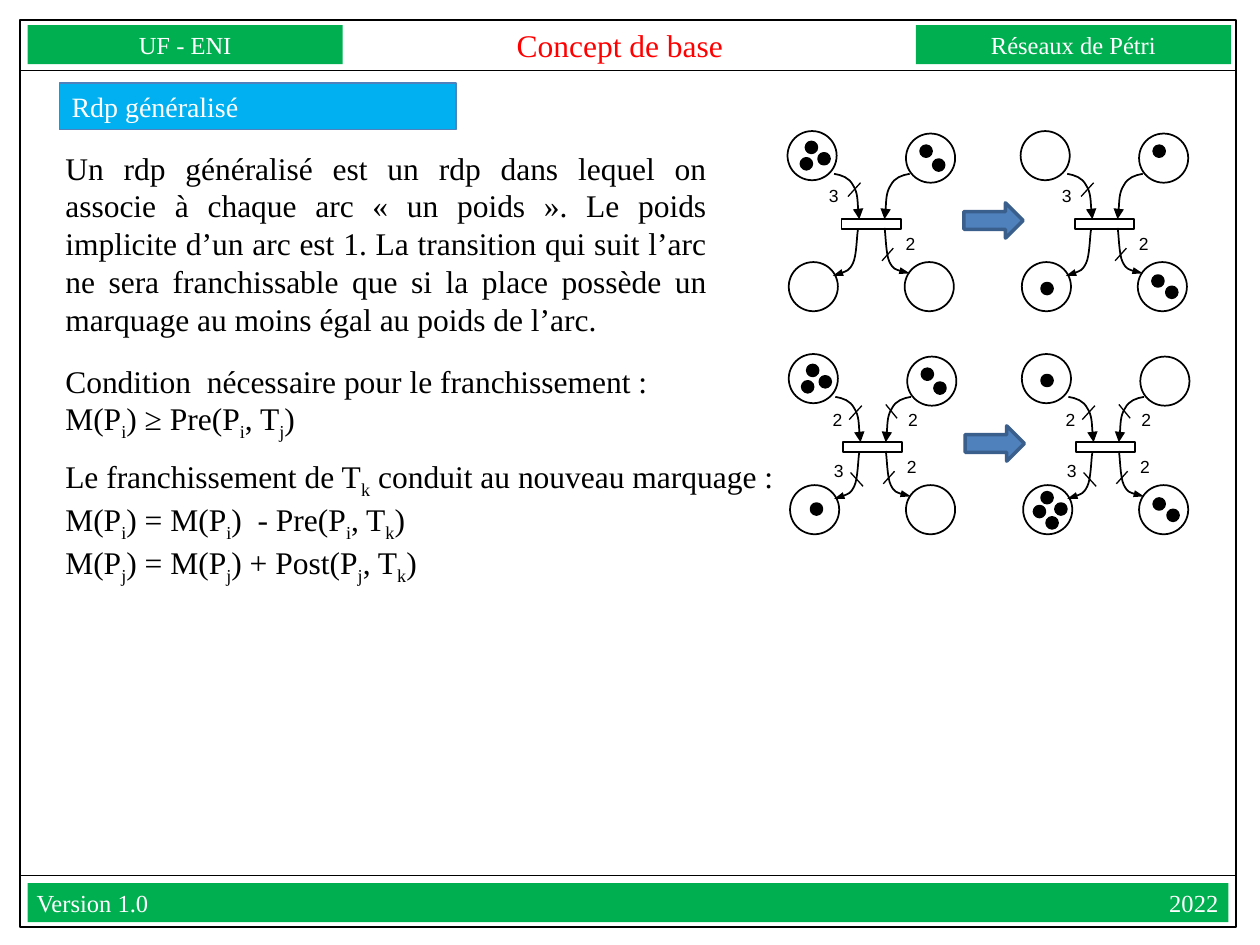
from lxml.etree import SubElement
from pptx import Presentation
from pptx.dml.color import RGBColor
from pptx.enum.shapes import MSO_CONNECTOR, MSO_SHAPE as SHAPE
from pptx.enum.text import MSO_ANCHOR as ANCHOR, MSO_AUTO_SIZE, PP_ALIGN as ALIGN
from pptx.oxml.ns import qn
from pptx.util import Inches, Pt

COLORS = {"black": "000000", "white": "FFFFFF", "red": "FF0000", "green": "00B050",
          "sky": "00B0F0", "blue": "4F81BD", "navy": "3A5F8C"}
SERIF, SANS = "Times New Roman", "Arial"

prs = Presentation()
prs.slide_width, prs.slide_height = Inches(10), Inches(7.5)
slide = prs.slides.add_slide(prs.slide_layouts[5])


def write(shape, *lines, size=18, font=SERIF, color="black", align=ALIGN.LEFT,
          anchor=ANCHOR.TOP, inset=(0.1, 0.05), right_tab=None):
    """Fill a shape with paragraphs; the letter after each "_" is a subscript."""
    frame = shape.text_frame
    frame.word_wrap = True
    frame.auto_size = MSO_AUTO_SIZE.NONE
    frame.vertical_anchor = anchor
    frame.margin_left = frame.margin_right = Inches(inset[0])
    frame.margin_top = frame.margin_bottom = Inches(inset[1])
    for number, line in enumerate(lines):
        paragraph = frame.add_paragraph() if number else frame.paragraphs[0]
        paragraph.alignment = align
        if right_tab:
            tabs = SubElement(paragraph._p.get_or_add_pPr(), qn("a:tabLst"))
            SubElement(tabs, qn("a:tab"), pos=str(Inches(right_tab)), algn="r")
        first, *rest = line.split("_")
        pieces = [(first, False)]
        for part in rest:
            pieces += [(part[0], True), (part[1:], False)]
        for text, is_subscript in pieces:
            run = paragraph.add_run()
            run.text = text
            run.font.size, run.font.name = Pt(size), font
            run.font.color.rgb = RGBColor.from_string(COLORS[color])
            if is_subscript:
                run._r.get_or_add_rPr().set("baseline", "-25000")


def draw(kind, x, y, width, height, fill=None, line=None, weight=1):
    """Add a preset shape with plain fill and outline."""
    shape = slide.shapes.add_shape(kind, Inches(x), Inches(y), Inches(width), Inches(height))
    shape.shadow.inherit = False
    if fill:
        shape.fill.solid()
        shape.fill.fore_color.rgb = RGBColor.from_string(COLORS[fill])
    else:
        shape.fill.background()
    if line:
        shape.line.color.rgb = RGBColor.from_string(COLORS[line])
        shape.line.width = Pt(weight)
    else:
        shape.line.fill.background()
    return shape


# Page frame, header and footer
draw(SHAPE.RECTANGLE, 0.16, 0.16, 9.65, 7.2, line="black")
strokes = [(0.16, y, 9.8, y) for y in (0.56, 6.95)]
for x, label in ((0.22, "UF - ENI"), (7.27, "Réseaux de Pétri")):
    write(draw(SHAPE.RECTANGLE, x, 0.2, 2.5, 0.31, fill="green"), label, size=14,
          color="white", align=ALIGN.CENTER, anchor=ANCHOR.MIDDLE, inset=(0, 0))
write(draw(SHAPE.RECTANGLE, 0.22, 7.01, 9.53, 0.31, fill="green"), "Version 1.0\t2022",
      size=14, color="white", anchor=ANCHOR.MIDDLE, inset=(0.07, 0), right_tab=9.38)

title = slide.shapes.title
title.left, title.top = Inches(3.67), Inches(0.2)
title.width, title.height = Inches(2.5), Inches(0.31)
write(title, "Concept de base", color="red", align=ALIGN.CENTER, anchor=ANCHOR.MIDDLE,
      inset=(0, 0))

# Section heading
write(draw(SHAPE.RECTANGLE, 0.47, 0.66, 3.15, 0.37, fill="sky", line="blue", weight=0.75),
      "Rdp généralisé", size=16, color="white")

# Definition and firing rules
explanations = [
    (1.13, 5.29, 1.62, ALIGN.JUSTIFY, [
        "Un rdp généralisé est un rdp dans lequel on associe à chaque arc « un poids ». "
        "Le poids implicite d’un arc est 1. La transition qui suit l’arc ne sera "
        "franchissable que si la place possède un marquage au moins égal au poids de l’arc."]),
    (2.82, 5.24, 0.71, ALIGN.LEFT, [
        "Condition  nécessaire pour le franchissement :",
        "M(P_i) ≥ Pre(P_i, T_j)"]),
    (3.58, 5.94, 1.01, ALIGN.LEFT, [
        "Le franchissement de T_k conduit au nouveau marquage :",
        "M(P_i) = M(P_i)  - Pre(P_i, T_k)",
        "M(P_j) = M(P_j) + Post(P_j, T_k)"]),
]
for y, width, height, align, lines in explanations:
    box = slide.shapes.add_textbox(Inches(0.42), Inches(y), Inches(width), Inches(height))
    write(box, *lines, align=align)

# Petri net geometry, relative to the corner of each net
PLACES = [(0, 0), (0.94, 0.02), (0.01, 1.04), (0.93, 1.04)]
ARCS = [  # arrowhead width, then start and two Bézier segments
    ("med", [(0.37, 0.34), (0.43, 0.35), (0.49, 0.37), (0.52, 0.43),
             (0.56, 0.49), (0.56, 0.66), (0.57, 0.7)]),
    ("med", [(0.97, 0.34), (0.91, 0.35), (0.85, 0.37), (0.82, 0.43),
             (0.78, 0.49), (0.78, 0.66), (0.77, 0.7)]),
    ("sm", [(0.56, 0.78), (0.55, 0.83), (0.55, 0.99), (0.52, 1.05),
            (0.49, 1.11), (0.43, 1.13), (0.36, 1.15)]),
    ("sm", [(0.77, 0.77), (0.78, 0.81), (0.78, 0.98), (0.81, 1.04),
            (0.84, 1.1), (0.91, 1.12), (0.97, 1.13)]),
]
IN_LEFT, IN_RIGHT = (0.58, 0.41, 0.48, 0.52), (0.77, 0.4, 0.86, 0.51)
OUT_LEFT, OUT_RIGHT = (0.49, 0.94, 0.59, 1.05), (0.75, 1.03, 0.84, 0.93)
# Each weight: tick across the arc, value, label position
TOP_WEIGHTS = [(IN_LEFT, "3", 0.23, 0.38), (OUT_RIGHT, "2", 0.84, 0.76)]
BOTTOM_WEIGHTS = [(IN_LEFT, "2", 0.25, 0.39), (IN_RIGHT, "2", 0.85, 0.39),
                  (OUT_LEFT, "3", 0.26, 0.79), (OUT_RIGHT, "2", 0.84, 0.76)]
THREE_IN_P1 = [(0.15, 0.09), (0.11, 0.22), (0.25, 0.18)]
TWO_IN_P2 = [(1.06, 0.12), (1.16, 0.23)]
TWO_IN_P4 = [(1.05, 1.15), (1.16, 1.24)]
FOUR_IN_P3 = [(0.16, 1.1), (0.27, 1.19), (0.1, 1.21), (0.2, 1.3)]

nets = [
    (6.25, 1.04, TOP_WEIGHTS, THREE_IN_P1 + TWO_IN_P2),
    (8.1, 1.04, TOP_WEIGHTS, [(1.06, 0.12), (0.17, 1.21)] + TWO_IN_P4),
    (6.26, 2.81, BOTTOM_WEIGHTS, THREE_IN_P1 + TWO_IN_P2 + [(0.18, 1.19)]),
    (8.11, 2.81, BOTTOM_WEIGHTS, [(0.16, 0.17)] + FOUR_IN_P3 + TWO_IN_P4),
]
for left, top, weights, tokens in nets:
    for x, y in PLACES:
        draw(SHAPE.OVAL, left + x, top + y, 0.39, 0.39, line="black")
    draw(SHAPE.RECTANGLE, left + 0.43, top + 0.7, 0.47, 0.08, line="black")
    for x, y in tokens:
        draw(SHAPE.OVAL, left + x, top + y, 0.08, 0.08, fill="black", line="black", weight=2)

    for head_width, points in ARCS:
        start, *bends = [(Inches(left + x), Inches(top + y)) for x, y in points]
        builder = slide.shapes.build_freeform(*start)
        builder.add_line_segments(bends, close=False)
        arc = builder.convert_to_shape()
        arc.shadow.inherit = False
        arc.fill.background()
        arc.line.color.rgb = RGBColor.from_string(COLORS["black"])
        arc.line.width = Pt(1)
        # Turn every three straight steps into one Bézier segment
        outline = next(arc._element.iter(qn("a:path")))
        steps = outline.findall(qn("a:lnTo"))
        for index, step in enumerate(steps):
            if index % 3 == 0:
                curve = SubElement(outline, qn("a:cubicBezTo"))
            curve.append(step[0])
            outline.remove(step)
        SubElement(arc.line._get_or_add_ln(), qn("a:tailEnd"), type="triangle",
                   w=head_width, len="med")

    for (x1, y1, x2, y2), value, x, y in weights:
        strokes.append((left + x1, top + y1, left + x2, top + y2))
        label = slide.shapes.add_textbox(Inches(left + x), Inches(top + y),
                                         Inches(0.33), Inches(0.28))
        write(label, value, size=10, font=SANS)

# Firing arrows between the nets
for left, top, *_ in nets[::2]:
    draw(SHAPE.RIGHT_ARROW, left + 1.4, top + 0.57, 0.47, 0.28, fill="blue", line="navy",
         weight=2)

# Frame rules and weight ticks
for ends in strokes:
    stroke = slide.shapes.add_connector(MSO_CONNECTOR.STRAIGHT, *map(Inches, ends))
    stroke.line.color.rgb = RGBColor.from_string(COLORS["black"])
    stroke.line.width = Pt(0.75)
    SubElement(stroke._element.spPr, qn("a:effectLst"))

prs.save("out.pptx")
